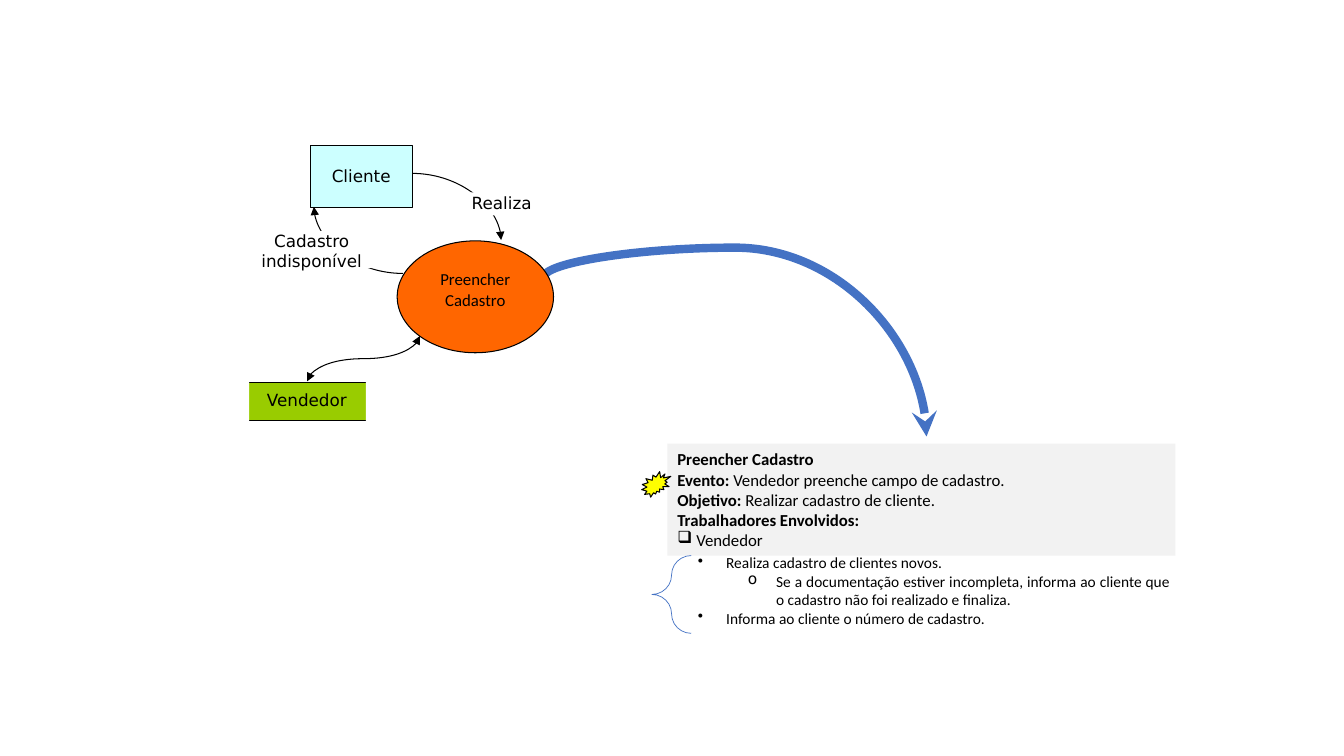
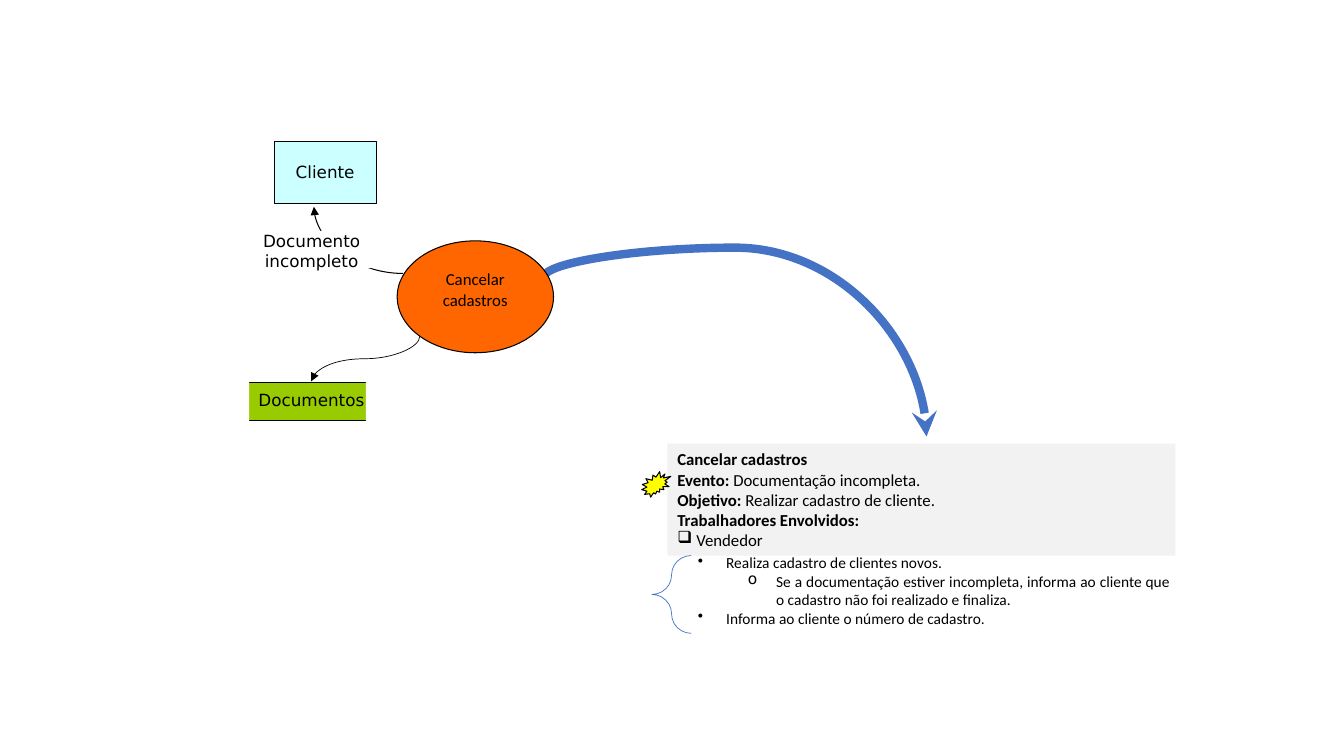
import pptx
import pptx.util
import pptx.dml.color
import pptx.enum.shapes
import pptx.enum.text
import pptx.oxml
import pptx.oxml.ns

Cm, Pt = pptx.util.Cm, pptx.util.Pt
SHAPE = pptx.enum.shapes.MSO_SHAPE
ALIGN = pptx.enum.text.PP_ALIGN
ANCHOR = pptx.enum.text.MSO_ANCHOR

BLACK, WHITE, BLUE, GRAY = "000000", "FFFFFF", "4472C4", "F2F2F2"
CYAN, GREEN, ORANGE, YELLOW = "CCFFFF", "99CC00", "FF6600", "FFFF00"
BODY, LABEL = "Calibri", "DejaVu Sans"
NO_INSETS = (0, 0, 0, 0)
PANEL_INSETS = (0.25, 0.13, 0.25, 0.13)


def color(value):
    """Return the RGB colour of a hex string."""
    return pptx.dml.color.RGBColor.from_string(value)


def sub(parent, tag, **attributes):
    """Append a DrawingML element with the given attributes."""
    child = pptx.oxml.ns.qn(tag)
    element = parent.makeelement(child, attributes)
    parent.append(element)


def shape(s, kind, box, fill=None, line=None, width=0.75):
    """Add a flat preset shape in a box given in centimetres."""
    sp = s.shapes.add_shape(kind, *map(Cm, box))
    sp.shadow.inherit = False
    if fill:
        sp.fill.solid()
        sp.fill.fore_color.rgb = color(fill)
    else:
        sp.fill.background()
    if line:
        sp.line.color.rgb = color(line)
        sp.line.width = Pt(width)
    else:
        sp.line.fill.background()
    return sp


def frame(sp, insets, anchor=ANCHOR.TOP):
    """Prepare the text frame of a shape and return it."""
    tf = sp.text_frame
    tf.word_wrap = True
    tf.vertical_anchor = anchor
    tf.margin_left, tf.margin_top, tf.margin_right, tf.margin_bottom = map(Cm, insets)
    return tf


def style(p, align, font=BODY, size=12):
    """Set alignment and font of a paragraph."""
    p.alignment = align
    p.font.name = font
    p.font.size = Pt(size)
    p.font.color.rgb = color(BLACK)


def caption(sp, text, insets, font=LABEL, anchor=ANCHOR.TOP):
    """Write one centred paragraph into a shape."""
    p = frame(sp, insets, anchor).paragraphs[0]
    p.text = text
    style(p, ALIGN.CENTER, font)


def bullet(p, char, left, hanging):
    """Give a paragraph a bullet with a hanging indent."""
    pPr = p._p.get_or_add_pPr()
    pPr.set("marL", str(Cm(left)))
    pPr.set("indent", str(-Cm(hanging)))
    sub(pPr, "a:buChar", char=char)


def curve(s, box, preset="curvedConnector3", turn=0, flip="", bend=None,
          line=BLACK, width=0.75, head=None, tail="triangle"):
    """Add a curved arrow; box is its frame before it is turned."""
    x, y, w, h = box
    x1, x2 = (x + w, x) if "h" in flip else (x, x + w)
    y1, y2 = (y + h, y) if "v" in flip else (y, y + h)
    c = s.shapes.add_connector(pptx.enum.shapes.MSO_CONNECTOR.CURVE,
                               Cm(x1), Cm(y1), Cm(x2), Cm(y2))
    c.line.color.rgb = color(line)
    c.line.width = Pt(width)
    spPr = c._element.spPr
    spPr.find(pptx.oxml.ns.qn("a:xfrm")).set("rot", str(turn * 60000))
    geometry = spPr.find(pptx.oxml.ns.qn("a:prstGeom"))
    geometry.set("prst", preset)
    if bend is not None:
        guides = geometry.find(pptx.oxml.ns.qn("a:avLst"))
        sub(guides, "a:gd", name="adj1", fmla=f"val {round(bend * 100000)}")
    ln = c.line._get_or_add_ln()
    if head:
        sub(ln, "a:headEnd", type=head)
    sub(ln, "a:tailEnd", type=tail)
    sub(spPr, "a:effectLst")


def summary(s, box, name, event):
    """Grey panel with the facts of a process and its event mark."""
    x, y, w, h = box
    tf = frame(shape(s, SHAPE.RECTANGLE, box, GRAY), PANEL_INSETS, ANCHOR.MIDDLE)
    facts = [(name, ""), ("Evento: ", event),
             ("Objetivo: ", "Realizar cadastro de cliente."),
             ("Trabalhadores Envolvidos:", ""), ("", "Vendedor")]
    for i, (term, value) in enumerate(facts):
        p = tf.paragraphs[0] if i == 0 else tf.add_paragraph()
        style(p, ALIGN.JUSTIFY)
        for text, bold in ((term, True), (value, False)):
            if text:
                r = p.add_run()
                r.text = text
                r.font.bold = bold
    bullet(p, "❑", 0.48, 0.48)
    burst = shape(s, SHAPE.EXPLOSION2, (x - 0.67, y + 0.73, 0.79, 0.58), YELLOW, BLACK)
    burst.rotation = 347.5


def actions(s, box):
    """Bulleted steps of the worker with a brace on their left."""
    x, y, w, h = box
    tf = frame(s.shapes.add_textbox(*map(Cm, box)), PANEL_INSETS)
    steps = [
        (1, "Realiza cadastro de clientes novos."),
        (2, "Se a documentação estiver incompleta, informa ao cliente que "
            "o cadastro não foi realizado e finaliza."),
        (1, "Informa ao cliente o número de cadastro."),
    ]
    for i, (level, text) in enumerate(steps):
        p = tf.paragraphs[0] if i == 0 else tf.add_paragraph()
        p.text = text
        p.level = level
        style(p, ALIGN.JUSTIFY, size=11)
        bullet(p, "•o"[level - 1], 1.26 * level, 0.71)
    brace = shape(s, SHAPE.LEFT_BRACE, (x - 0.36, y + 0.18, 0.99, h - 0.17),
                  line=BLUE, width=0.5)
    brace.adjustments[0] = 0.521


def client(s, x, y):
    """Box of the external party."""
    sp = shape(s, SHAPE.RECTANGLE, (x, y, 2.57, 1.57), CYAN, BLACK)
    caption(sp, "Cliente", (0.25, 0.1, 0.25, 0.13), anchor=ANCHOR.MIDDLE)


def store(s, x, y, w, name):
    """Data store: a bar whose sides are covered in white."""
    sp = shape(s, SHAPE.RECTANGLE, (x, y, w, 0.97), GREEN, BLACK)
    caption(sp, name, (0.25, 0.2, 0.25, 0.13))
    for cover in (x - 0.43, x + 3.02):
        shape(s, SHAPE.RECTANGLE, (cover, y - 0.1, 0.51, 1.14), WHITE)


def labelled_curve(s, box, turn, text, label):
    """Curved arrow with its name on a white label."""
    curve(s, box, "curvedConnector2", turn)
    caption(shape(s, SHAPE.RECTANGLE, label, WHITE), text, NO_INSETS)


def process(s, box, name, reply):
    """Process ellipse, its reply to the client and the arrow to the summary."""
    x, y, w, h = box
    curve(s, (x + 6.51, y - 1.9, 4.01, 9.65), turn=270, flip="h", bend=-0.187,
          line=BLUE, width=6, tail="stealth")
    caption(shape(s, SHAPE.OVAL, box, ORANGE, BLACK), name,
            (0.25, 0.3, 0.25, 0.13), BODY)
    labelled_curve(s, (x - 2.1, y - 0.86, 2.24, 1.68), 180, reply,
                   (x - 4.06, y - 0.25, 3.81, 0.94))


def process_slide(prs, name, event, reply, client_at, store_name, store_width,
                  store_curve, request=None):
    """One process: its data flow on the left, its description on the right."""
    s = prs.slides.add_slide(prs.slide_layouts[6])
    summary(s, (16.82, 11.18, 12.8, 2.82), name, event)
    actions(s, (16.79, 13.82, 12.95, 2.13))
    x, y = 10.01, 6.07
    if request:
        labelled_curve(s, (x + 0.38, y - 1.7, 2.24, 1.68), 0, request,
                       (x + 0.73, y - 1.22, 3.81, 0.58))
    client(s, *client_at)
    store(s, x - 3.81, y + 3.56, store_width, store_name)
    process(s, (x, y, 3.94, 2.82), name, reply)
    curve(s, turn=90, bend=0.5, **store_curve)


prs = pptx.Presentation()
prs.slide_width, prs.slide_height = Cm(33.87), Cm(19.05)
process_slide(prs, "Preencher Cadastro", "Vendedor preenche campo de cadastro.",
              "Cadastro indisponível", (7.82, 3.66), "Vendedor", 3.07,
              dict(box=(8.59, 7.62, 1.14, 2.84), flip="hv", head="triangle"),
              request="Realiza")
process_slide(prs, "Cancelar cadastros", "Documentação incompleta.",
              "Documento incompleto", (6.91, 3.56), "Documentos", 3.3,
              dict(box=(8.64, 7.67, 1.14, 2.74), width=0.5))
prs.save("out.pptx")
